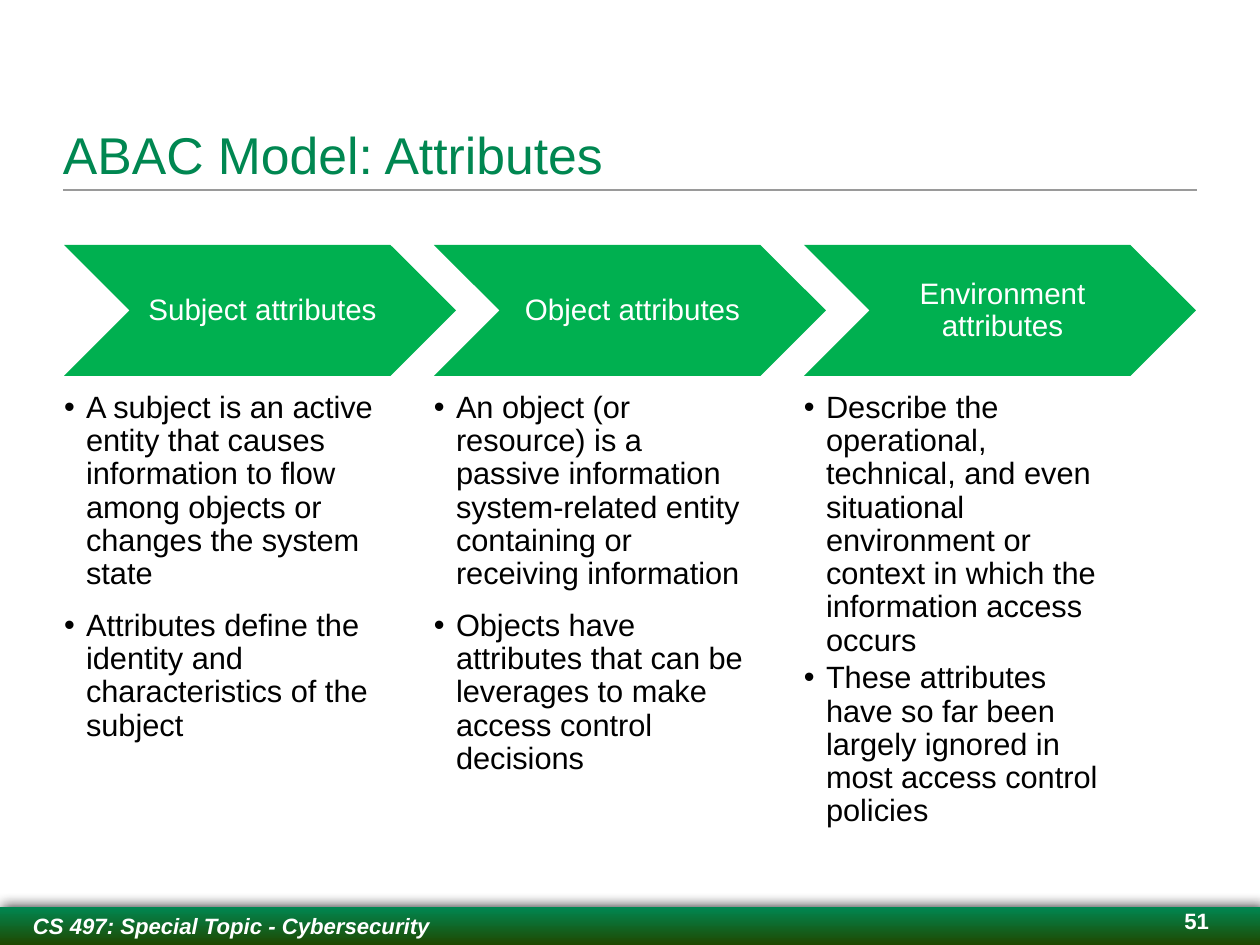
from dataclasses import dataclass

from lxml.etree import SubElement
from pptx import Presentation
from pptx.dml.color import RGBColor
from pptx.enum.shapes import MSO_CONNECTOR, MSO_SHAPE
from pptx.enum.text import MSO_ANCHOR, PP_ALIGN
from pptx.oxml.ns import qn
from pptx.slide import Slide
from pptx.text.text import TextFrame
from pptx.util import Emu, Pt

EMU_PER_PX = 10320


@dataclass(frozen=True)
class Theme:
    font: str = "Arial"
    green: RGBColor = RGBColor(0x00, 0x87, 0x51)
    dark_green: RGBColor = RGBColor(0x1F, 0x48, 0x00)
    chevron: RGBColor = RGBColor(0x00, 0xB0, 0x50)
    rule: RGBColor = RGBColor(0x9A, 0x9A, 0x9A)
    white: RGBColor = RGBColor(0xFF, 0xFF, 0xFF)
    black: RGBColor = RGBColor(0x00, 0x00, 0x00)
    title_size: int = 42
    heading_size: int = 24
    body_size: int = 25
    footer_size: int = 18


@dataclass(frozen=True)
class Box:
    left: int
    top: int
    width: int
    height: int

    def emu(self) -> tuple[Emu, Emu, Emu, Emu]:
        return px(self.left), px(self.top), px(self.width), px(self.height)


@dataclass(frozen=True)
class AttributeColumn:
    heading: str
    points: tuple[str, ...]
    point_gap: float = 15.2


THEME = Theme()
COLUMN_LEFT, COLUMN_PITCH = 64, 370
COLUMNS = (
    AttributeColumn("Subject attributes", (
        "A subject is an active entity that causes information to flow among objects or changes the system state",
        "Attributes define the identity and characteristics of the subject",
    )),
    AttributeColumn("Object attributes", (
        "An object (or resource) is a passive information system-related entity containing or receiving information",
        "Objects have attributes that can be leverages to make access control decisions",
    )),
    AttributeColumn("Environment attributes", (
        "Describe the operational, technical, and even situational environment or context in which the "
        "information access occurs",
        "These attributes have so far been largely ignored in most access control policies",
    ), point_gap=3.75),
)


def px(length: int) -> Emu:
    return Emu(length * EMU_PER_PX)


def write(frame: TextFrame, text: str, size: int, color: RGBColor, bold: bool = False, italic: bool = False,
          anchor: MSO_ANCHOR = MSO_ANCHOR.TOP, align: PP_ALIGN = PP_ALIGN.LEFT) -> None:
    frame.text = text
    frame.word_wrap = True
    frame.vertical_anchor = anchor
    frame.margin_left = frame.margin_top = frame.margin_right = frame.margin_bottom = 0
    for paragraph in frame.paragraphs:
        paragraph.alignment = align
        for run in paragraph.runs:
            run.font.name = THEME.font
            run.font.size = Pt(size)
            run.font.color.rgb = color
            run.font.bold = bold
            run.font.italic = italic


def add_text_frame(slide: Slide, box: Box) -> TextFrame:
    return slide.shapes.add_textbox(*box.emu()).text_frame


def add_title(slide: Slide) -> None:
    frame = add_text_frame(slide, Box(63, 0, 1134, 185))
    write(frame, "ABAC Model: Attributes", THEME.title_size, THEME.green, anchor=MSO_ANCHOR.BOTTOM)
    rule = slide.shapes.add_connector(MSO_CONNECTOR.STRAIGHT, px(63), px(190), px(1197), px(190))
    rule.line.color.rgb = THEME.rule
    rule.line.width = Pt(1)
    SubElement(rule.element.spPr, qn("a:effectLst"))


def add_column(slide: Slide, column: AttributeColumn, left: int) -> None:
    # Chevron with its heading
    chevron = slide.shapes.add_shape(MSO_SHAPE.CHEVRON, *Box(left, 245, 392, 131).emu())
    chevron.shadow.inherit = False
    chevron.fill.solid()
    chevron.fill.fore_color.rgb = THEME.chevron
    chevron.line.fill.background()
    heading = add_text_frame(slide, Box(left + 66, 245, 260, 131))
    write(heading, column.heading, THEME.heading_size, THEME.white,
          anchor=MSO_ANCHOR.MIDDLE, align=PP_ALIGN.CENTER)
    heading.margin_left = px(9)
    heading.margin_right = px(4)
    heading.paragraphs[0].line_spacing = 0.9

    # Bulleted points
    body = add_text_frame(slide, Box(left, 392, 314, 427))
    write(body, "\n".join(column.points), THEME.body_size, THEME.black)
    for paragraph in body.paragraphs:
        paragraph.line_spacing = 0.9
        paragraph.space_after = Pt(column.point_gap)
        properties = paragraph._p.get_or_add_pPr()
        properties.set("marL", str(px(22)))
        properties.set("indent", str(px(-22)))
        SubElement(properties, qn("a:buFont"), typeface=THEME.font)
        SubElement(properties, qn("a:buChar"), char="•")


def add_footer(slide: Slide) -> None:
    # Gradient band with a soft shadow
    band = slide.shapes.add_shape(MSO_SHAPE.RECTANGLE, *Box(0, 907, 1260, 38).emu())
    band.line.fill.background()
    band.fill.gradient()
    band.fill.gradient_angle = 270
    for stop, color in zip(band.fill.gradient_stops, (THEME.green, THEME.dark_green)):
        stop.color.rgb = color
    band.shadow.inherit = False
    effects = band.element.spPr.find(qn("a:effectLst"))
    shadow = SubElement(effects, qn("a:outerShdw"), blurRad=str(Pt(10)), dist=str(Pt(2)),
                        dir=str(315 * 60000), rotWithShape="0")
    shadow_color = SubElement(shadow, qn("a:srgbClr"), val=str(THEME.black))
    SubElement(shadow_color, qn("a:alpha"), val="75000")
    write(band.text_frame, "CS 497: Special Topic - Cybersecurity", THEME.footer_size, THEME.white,
          bold=True, italic=True, anchor=MSO_ANCHOR.MIDDLE)
    band.text_frame.margin_left = px(33)

    # Page number
    number = add_text_frame(slide, Box(1169, 907, 40, 27))
    write(number, "51", THEME.footer_size, THEME.white, bold=True, align=PP_ALIGN.RIGHT)


def main() -> None:
    presentation = Presentation()
    presentation.slide_width = px(1260)
    presentation.slide_height = px(945)
    slide = presentation.slides.add_slide(presentation.slide_layouts[6])
    add_title(slide)
    for index, column in enumerate(COLUMNS):
        add_column(slide, column, COLUMN_LEFT + index * COLUMN_PITCH)
    add_footer(slide)
    presentation.save("out.pptx")


if __name__ == "__main__":
    main()
